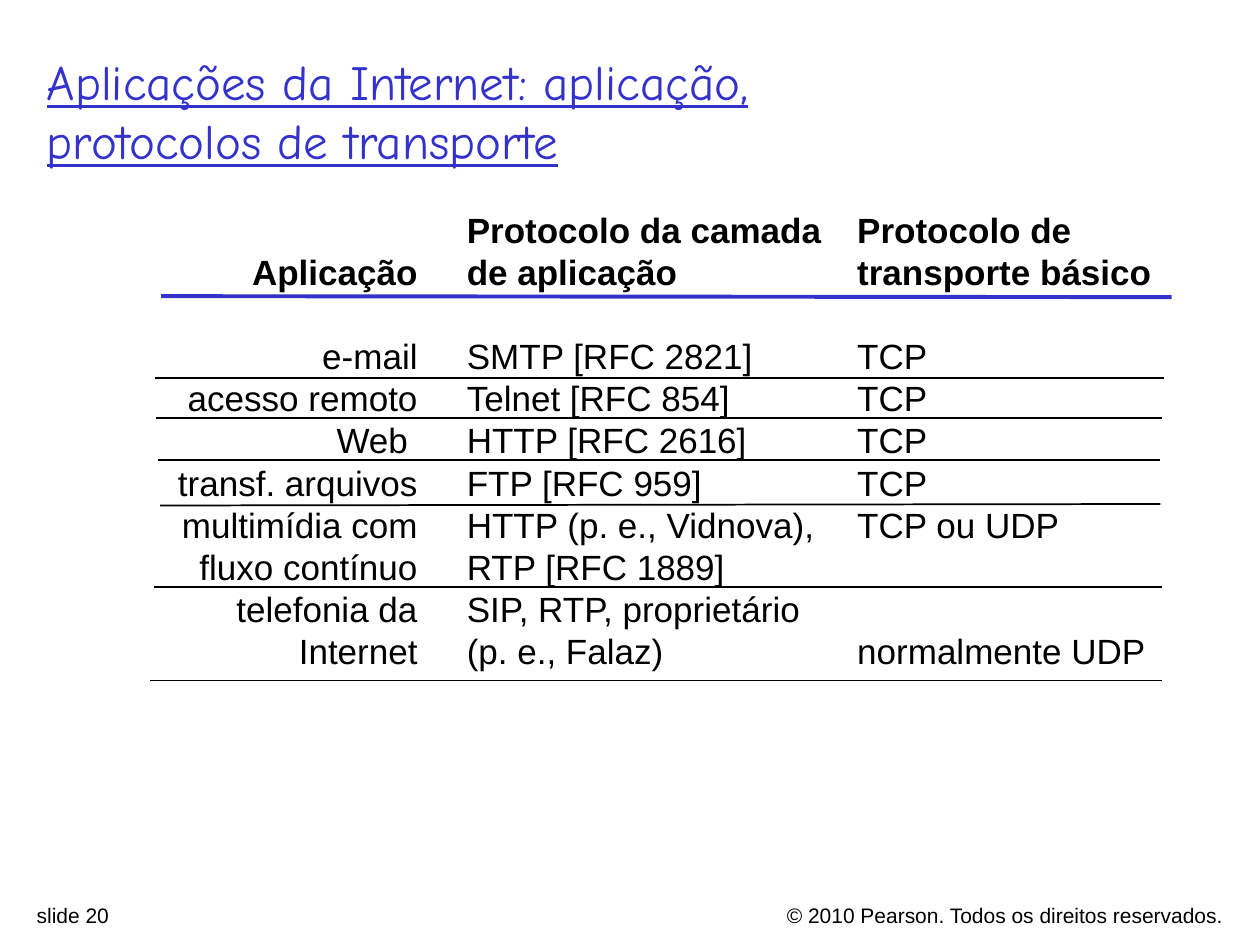
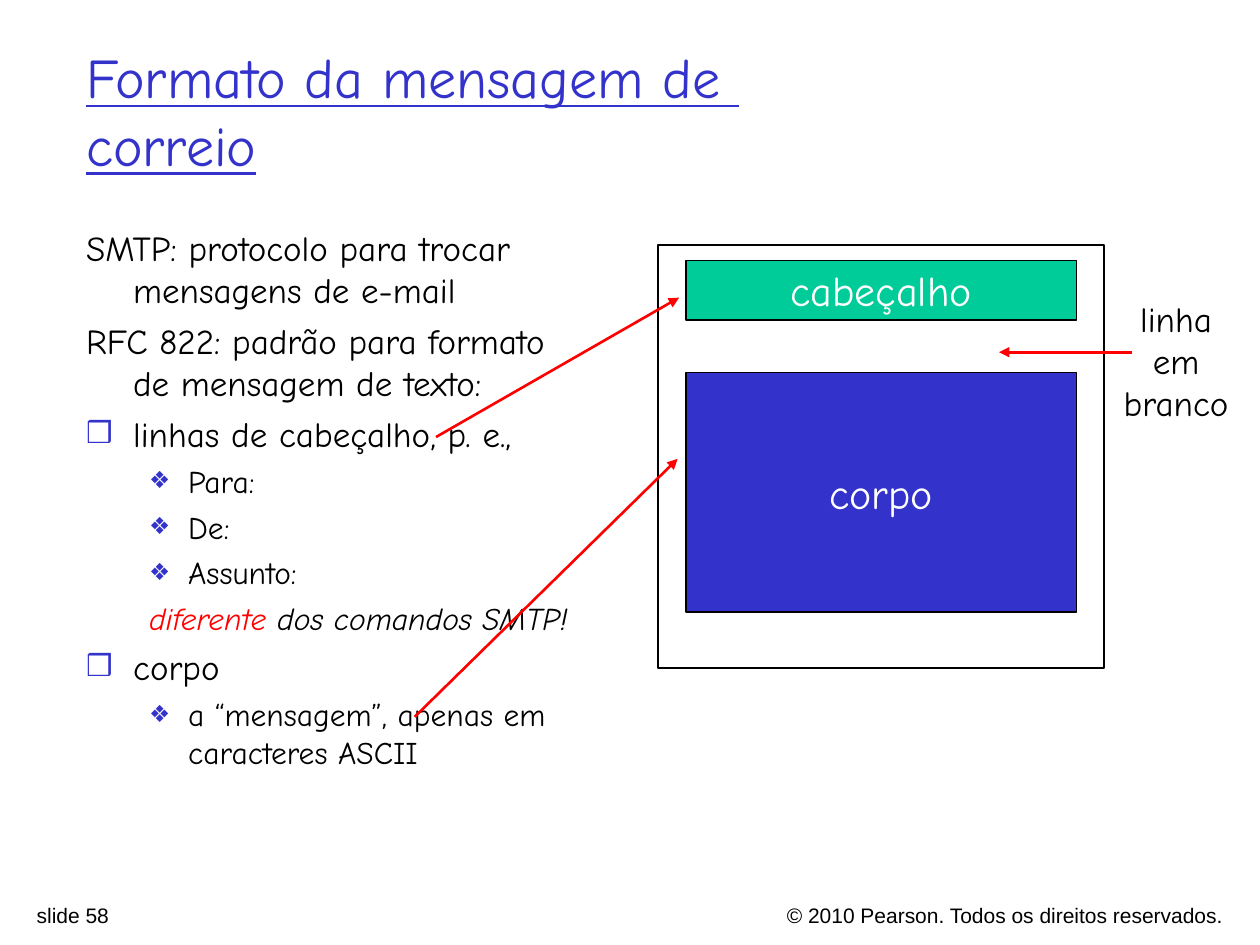
from typing import NamedTuple

from lxml import etree
from pptx import Presentation
from pptx import util as u
from pptx.dml.color import RGBColor
from pptx.enum import shapes, text
from pptx.oxml.ns import qn

# Shared look
BLUE = RGBColor(0x33, 0x33, 0xCC)
GREEN = RGBColor(0x00, 0xCC, 0x99)
RED = RGBColor(0xFF, 0x00, 0x00)
BLACK = RGBColor(0x00, 0x00, 0x00)
WHITE = RGBColor(0xFF, 0xFF, 0xFF)
PLAIN = "Arial"
HAND = "Comic Neue"
LEADING = 1.2
NO_GRID_STYLE = "{2D5ABB26-0587-4C30-8999-92F81FD0307C}"
COPYRIGHT = "© 2010 Pearson. Todos os direitos reservados."
LEFT, CENTER, RIGHT = (text.PP_ALIGN.LEFT, text.PP_ALIGN.CENTER,
                       text.PP_ALIGN.RIGHT)


class Area(NamedTuple):
    """Left, top, width and height in centimetres."""
    left: float
    top: float
    width: float
    height: float

    def lengths(self) -> list:
        return [u.Cm(value) for value in self]


class Style(NamedTuple):
    size: float
    name: str = HAND
    color: RGBColor = BLACK
    bold: bool = False
    align: text.PP_ALIGN = LEFT


class Row(NamedTuple):
    application: str
    protocol: str
    transport: str
    lines: int = 1


class Level(NamedTuple):
    bullet: str
    percent: int
    margin: float
    hanging: float
    size: float
    before: float


class Item(NamedTuple):
    words: str
    level: int = 0
    bullet: bool = True
    emphasis: str = ""


class Panel(NamedTuple):
    area: Area
    words: str = ""
    fill: RGBColor | None = None
    border: float = 0.75


class Stroke(NamedTuple):
    x1: float
    y1: float
    x2: float
    y2: float
    color: RGBColor = BLACK
    width: float = 1
    arrow: bool = False


# Slide contents
COLUMN_WIDTHS = (5.59, 8.33, 6.45)
COLUMN_INSETS = (0, 0.72, 0.26)
TABLE_PLACE = (3.1, 4.2)
LINE_HEIGHT = 0.85
ROWS = [
    Row("Aplicação", "Protocolo da camada\nde aplicação",
        "Protocolo de\ntransporte básico", 2),
    Row("e-mail", "SMTP [RFC 2821]", "TCP", 2),
    Row("acesso remoto", "Telnet [RFC 854]", "TCP"),
    Row("Web ", "HTTP [RFC 2616]", "TCP"),
    Row("transf. arquivos", "FTP [RFC 959]", "TCP"),
    Row("multimídia com\nfluxo contínuo",
        "HTTP (p. e., Vidnova),\nRTP [RFC 1889]", "TCP ou UDP", 2),
    Row("telefonia da\nInternet",
        "SIP, RTP, proprietário\n(p. e., Falaz)", "normalmente UDP", 2),
]
RULES = [
    Stroke(3.25, 5.97, 23.62, 5.99, BLUE, 2.25),
    Stroke(3.12, 7.62, 23.47, 7.62),
    Stroke(3.15, 8.43, 23.42, 8.43),
    Stroke(3.18, 9.27, 23.39, 9.27),
    Stroke(3.23, 10.19, 23.39, 10.16),
    Stroke(3.1, 11.84, 23.42, 11.84),
    Stroke(3.02, 13.72, 23.42, 13.72),
]

LEVELS = [Level("❒", 85, 0.95, 0.95, 20, 5),
          Level("❖", 75, 2.06, 0.79, 18, 4.5)]
ITEMS = [
    Item("SMTP: protocolo para trocar mensagens de e-mail", bullet=False),
    Item("RFC 822: padrão para formato de mensagem de texto:", bullet=False),
    Item("linhas de cabeçalho, p. e.,"),
    Item("Para:", 1),
    Item("De:", 1),
    Item("Assunto:", 1),
    Item("dos comandos SMTP!", 1, bullet=False, emphasis="diferente "),
    Item("corpo"),
    Item("a “mensagem”, apenas em caracteres ASCII", 1),
]
PANELS = [
    Panel(Area(13.83, 5.25, 7.87, 1.2), "cabeçalho", GREEN),
    Panel(Area(13.83, 7.51, 7.87, 4.83), "corpo", BLUE),
    Panel(Area(13.26, 4.94, 9, 8.53), border=1),
]
ARROWS = [
    Stroke(8.79, 8.81, 13.69, 6, RED, 1.5, True),
    Stroke(8.36, 14.45, 13.66, 9.25, RED, 1.5, True),
    Stroke(22.83, 7.1, 20.14, 7.1, RED, 1.5, True),
]


def format_para(para, style: Style) -> None:
    para.alignment = style.align
    para.line_spacing = u.Pt(round(style.size * LEADING, 1))
    for span in para.runs:
        span.font.size = u.Pt(style.size)
        span.font.name = style.name
        span.font.bold = style.bold
        span.font.color.rgb = style.color


def write(frame, words: str, style: Style) -> None:
    para = frame.paragraphs[0]
    para.text = words
    format_para(para, style)


def move(box, area: Area) -> None:
    box.left, box.top, box.width, box.height = area.lengths()


def add_label(page, area: Area, words: str, style: Style,
              wrap: bool = True) -> None:
    box = page.shapes.add_textbox(*area.lengths())
    box.text_frame.word_wrap = wrap
    write(box.text_frame, words, style)


def add_page(deck, layout: int, number: int, title: str, area: Area,
             size: float):
    """Add a slide with its title and footers."""
    page = deck.slides.add_slide(deck.slide_layouts[layout])
    heading = page.shapes.title
    move(heading, area)
    frame = heading.text_frame
    frame.auto_size = text.MSO_AUTO_SIZE.NONE
    frame.vertical_anchor = text.MSO_ANCHOR.MIDDLE
    write(frame, title, Style(size, color=BLUE))
    for span in frame.paragraphs[0].runs:
        span.font.underline = True
    add_label(page, Area(11.93, 18.06, 12.98, 0.61), COPYRIGHT,
              Style(12, PLAIN, align=RIGHT))
    add_label(page, Area(0.49, 18.06, 8.94, 0.58), f"slide {number}",
              Style(12, PLAIN))
    return page


def add_protocol_table(page) -> None:
    heights = [row.lines * LINE_HEIGHT for row in ROWS]
    area = Area(*TABLE_PLACE, sum(COLUMN_WIDTHS), sum(heights))
    table = page.shapes.add_table(len(ROWS), len(COLUMN_WIDTHS),
                                  *area.lengths()).table
    table.first_row = table.horz_banding = False
    table._tbl.tblPr.find(qn("a:tableStyleId")).text = NO_GRID_STYLE
    for column, width in zip(table.columns, COLUMN_WIDTHS):
        column.width = u.Cm(width)
    for i, row in enumerate(ROWS):
        table.rows[i].height = u.Cm(heights[i])
        for j, words in enumerate(row[:3]):
            cell = table.cell(i, j)
            cell.margin_left = u.Cm(COLUMN_INSETS[j])
            cell.margin_right = u.Cm(0 if j else 0.27)
            cell.margin_top = cell.margin_bottom = 0
            # A short answer beside two lines stays level with the first
            first_line = words == "TCP ou UDP"
            cell.vertical_anchor = (text.MSO_ANCHOR.TOP if first_line
                                    else text.MSO_ANCHOR.BOTTOM)
            write(cell.text_frame, words,
                  Style(20, PLAIN, bold=i == 0, align=LEFT if j else RIGHT))
            cell.fill.background()


def set_bullet(para, level: Level, shown: bool) -> None:
    props = para._p.get_or_add_pPr()
    props.set("marL", str(u.Cm(level.margin)))
    props.set("indent", str(-u.Cm(level.hanging)))
    if not shown:
        etree.SubElement(props, qn("a:buNone"))
        return
    color = etree.SubElement(props, qn("a:buClr"))
    etree.SubElement(color, qn("a:srgbClr"), val=str(BLUE))
    etree.SubElement(props, qn("a:buSzPct"), val=str(level.percent * 1000))
    etree.SubElement(props, qn("a:buChar"), char=level.bullet)


def fill_body(box) -> None:
    move(box, Area(1.48, 4.44, 10.59, 12.9))
    frame = box.text_frame
    frame.auto_size = text.MSO_AUTO_SIZE.NONE
    for i, item in enumerate(ITEMS):
        para = frame.add_paragraph() if i else frame.paragraphs[0]
        level = LEVELS[item.level]
        para.text = item.emphasis or item.words
        para.level = item.level
        set_bullet(para, level, item.bullet)
        para.space_before = u.Pt(level.before if i else 0)
        if item.emphasis:
            para.add_run().text = item.words
        format_para(para, Style(level.size))
        if item.emphasis:
            for span in para.runs:
                span.font.italic = True
            para.runs[0].font.color.rgb = RED


def add_panel(page, panel: Panel) -> None:
    box = page.shapes.add_shape(shapes.MSO_SHAPE.RECTANGLE,
                                *panel.area.lengths())
    box.shadow.inherit = False
    box.line.color.rgb = BLACK
    box.line.width = u.Pt(panel.border)
    if panel.fill is None:
        box.fill.background()
        return
    box.fill.solid()
    box.fill.fore_color.rgb = panel.fill
    box.text_frame.word_wrap = False
    box.text_frame.vertical_anchor = text.MSO_ANCHOR.MIDDLE
    write(box.text_frame, panel.words, Style(24, color=WHITE, align=CENTER))


def add_stroke(page, stroke: Stroke) -> None:
    line = page.shapes.add_connector(shapes.MSO_CONNECTOR.STRAIGHT,
                                     *[u.Cm(value) for value in stroke[:4]])
    line.line.color.rgb = stroke.color
    line.line.width = u.Pt(stroke.width)
    if stroke.arrow:
        etree.SubElement(line.line._get_or_add_ln(), qn("a:tailEnd"),
                         type="triangle")
    etree.SubElement(line._element.spPr, qn("a:effectLst"))


def main() -> None:
    deck = Presentation()
    deck.slide_width, deck.slide_height = u.Cm(25.4), u.Cm(19.05)

    # Applications and their protocols
    page = add_page(deck, 5, 20,
                    "Aplicações da Internet: aplicação,\n"
                    "protocolos de transporte",
                    Area(0.69, 0.63, 24.31, 3.18), 28)
    add_protocol_table(page)
    for rule in RULES:
        add_stroke(page, rule)

    # Mail message format
    page = add_page(deck, 1, 58, "Formato da mensagem de \ncorreio",
                    Area(1.48, 0.63, 21.59, 3.18), 32)
    fill_body(page.placeholders[1])
    for panel in PANELS:
        add_panel(page, panel)
    for arrow in ARROWS:
        add_stroke(page, arrow)
    add_label(page, Area(22.39, 5.87, 2.64, 2.79), "linha\nem\nbranco",
              Style(20, align=CENTER), wrap=False)

    deck.save("out.pptx")


if __name__ == "__main__":
    main()
